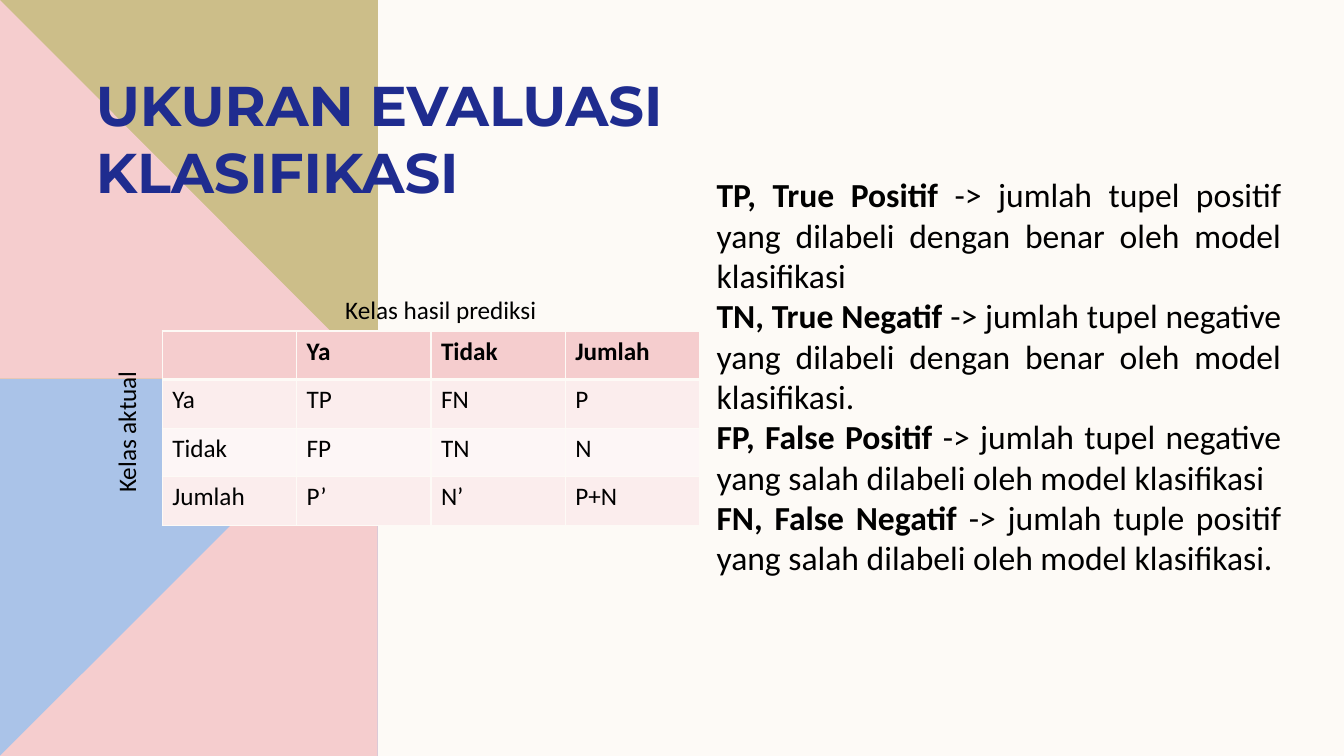
from lxml import etree
from pptx import Presentation
from pptx import util as u
from pptx.dml.color import RGBColor
from pptx.enum import text
from pptx.oxml.ns import qn

CREAM, PINK, OLIVE, BLUE = "FDFAF6", "F5CDCE", "CCBE89", "AAC3E8"
NAVY, BLACK = "1F2C8F", "000000"
BANDS = ["FBEDED", "FDF6F6"]


def rgb(color):
    return RGBColor.from_string(color)


class Deck:
    heading_font = "Montserrat"
    body_font = "Calibri"

    def __init__(self, width, height):
        self.prs = Presentation()
        self.prs.slide_width, self.prs.slide_height = u.Cm(width), u.Cm(height)
        self.s = None

    def slide(self, background):
        self.s = self.prs.slides.add_slide(self.prs.slide_layouts[5])
        fill = self.s.background.fill
        fill.solid()
        fill.fore_color.rgb = rgb(background)

    def font(self, p, size, color=BLACK, bold=False, name=None):
        p.font.name = name or self.body_font
        p.font.size = u.Pt(size)
        p.font.color.rgb = rgb(color)
        p.font.bold = bold

    def polygon(self, points, color):
        start, *rest = [(u.Cm(x), u.Cm(y)) for x, y in points]
        builder = self.s.shapes.build_freeform(*start)
        builder.add_line_segments(rest, close=True)
        sp = builder.convert_to_shape()
        sp.shadow.inherit = False
        sp.fill.solid()
        sp.fill.fore_color.rgb = rgb(color)
        sp.line.fill.background()

    def title(self, words, left, top, width, height):
        sp = self.s.shapes.title
        self.s.shapes._spTree.append(sp._element)
        sp.left, sp.top, sp.width, sp.height = map(u.Cm, (left, top, width, height))
        tf = sp.text_frame
        tf.text = words
        tf.word_wrap = True
        tf.auto_size = text.MSO_AUTO_SIZE.NONE
        tf.vertical_anchor = text.MSO_ANCHOR.TOP
        p = tf.paragraphs[0]
        p.alignment = text.PP_ALIGN.LEFT
        self.font(p, 40, NAVY, True, self.heading_font)

    def textbox(self, paragraphs, left, top, width, height, size,
                align=text.PP_ALIGN.LEFT, rotation=0):
        sp = self.s.shapes.add_textbox(*map(u.Cm, (left, top, width, height)))
        sp.rotation = rotation
        tf = sp.text_frame
        tf.word_wrap = True
        tf.auto_size = text.MSO_AUTO_SIZE.SHAPE_TO_FIT_TEXT
        for i, runs in enumerate(paragraphs):
            p = tf.add_paragraph() if i else tf.paragraphs[0]
            p.alignment = align
            self.font(p, size)
            for words, bold in runs:
                r = p.add_run()
                r.text = words
                if bold:
                    r.font.bold = True

    def borders(self, cell, widths):
        tc_pr = cell._tc.get_or_add_tcPr()
        for i, (side, width) in enumerate(widths.items()):
            ln = etree.Element(qn(f"a:ln{side}"), w=str(u.Pt(width)))
            fill = etree.SubElement(ln, qn("a:solidFill"))
            etree.SubElement(fill, qn("a:srgbClr"), val=CREAM)
            tc_pr.insert(i, ln)

    def table(self, rows, left, top, width, height):
        frame = self.s.shapes.add_table(len(rows), len(rows[0]),
                                        *map(u.Cm, (left, top, width, height)))
        for i, row in enumerate(rows):
            for j, words in enumerate(row):
                cell = frame.table.cell(i, j)
                cell.text = words
                cell.fill.solid()
                cell.fill.fore_color.rgb = rgb(BANDS[(i - 1) % 2] if i else PINK)
                self.font(cell.text_frame.paragraphs[0], 18, bold=i == 0)
                self.borders(cell, {"L": 1, "R": 1, "T": 3 if i == 1 else 1,
                                    "B": 3 if i == 0 else 1})


def main():
    deck = Deck(33.87, 19.05)
    deck.slide(CREAM)

    side, middle, bottom = 9.52, 9.54, 19.05
    deck.polygon([(0, middle), (side, middle), (side, bottom), (0, bottom)], BLUE)
    deck.polygon([(side, middle), (side, bottom), (0, bottom)], PINK)
    deck.polygon([(0, 0), (side, 0), (side, middle), (0, middle)], OLIVE)
    deck.polygon([(0, 0), (side, middle), (0, middle)], PINK)

    deck.title("UKURAN EVALUASI KLASIFIKASI", 2.16, 1.65, 17.12, 2.13)
    deck.table([["", "Ya", "Tidak", "Jumlah"],
                ["Ya", "TP", "FN", "P"],
                ["Tidak", "FP", "TN", "N"],
                ["Jumlah", "P’", "N’", "P+N"]], 4.09, 8.34, 13.54, 4.9)
    deck.textbox([[("Kelas hasil prediksi", False)]], 8.45, 7.29, 9.17, 1.03, 18)
    deck.textbox([[("Kelas aktual", False)]], -1.4, 7.57, 9.17, 1.03, 18, rotation=270)

    definitions = [
        ("TP, True Positif ", "positif yang dilabeli dengan benar oleh model klasifikasi"),
        ("TN, True Negatif ", "negative yang dilabeli dengan benar oleh model klasifikasi."),
        ("FP, False Positif ", "negative yang salah dilabeli oleh model klasifikasi"),
        ("FN, False Negatif ", "positif yang salah dilabeli oleh model klasifikasi."),
    ]
    deck.textbox([[(term, True),
                   (f"-> jumlah {'tuple' if term.startswith('FN') else 'tupel'} {meaning}", False)]
                  for term, meaning in definitions],
                 17.81, 4.27, 14.73, 10.52, 24, text.PP_ALIGN.JUSTIFY)

    deck.prs.save("out.pptx")


if __name__ == "__main__":
    main()
